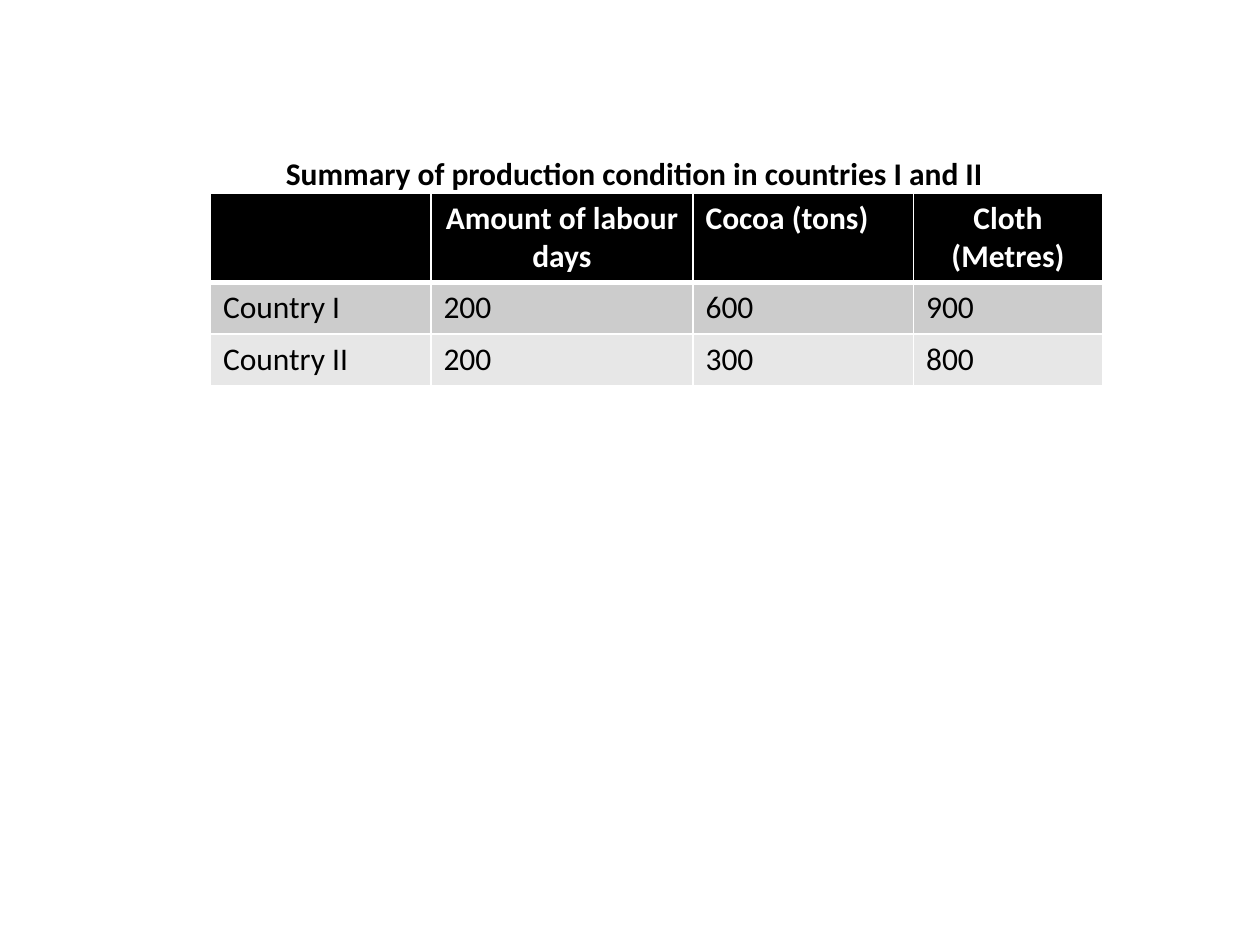
from lxml import etree
from pptx import Presentation
from pptx import util as u
from pptx.dml.color import RGBColor
from pptx.enum import text
from pptx.oxml.ns import qn

COLORS = {"black": "000000", "white": "FFFFFF", "dark_band": "CCCCCC", "light_band": "E7E7E7"}
FONT, FONT_SIZE = "Calibri", 18
TITLE = "Summary of production condition in countries I and II"
ROWS = [
    ["", "Amount of labour days", "Cocoa (tons)", "Cloth (Metres)"],
    ["Country I", "200", "600", "900"],
    ["Country II", "200", "300", "800"],
]
COLUMN_WIDTHS = [1.75, 2.08, 1.75, 1.5]
ROW_HEIGHTS = [0.7, 0.41, 0.41]
ROW_FILLS = ["black", "dark_band", "light_band"]
CENTRED_HEADERS = {"Amount of labour days", "Cloth (Metres)"}


def style_font(font, color, bold):
    """Apply the slide's typeface with the given colour and weight."""
    font.name, font.size, font.bold = FONT, u.Pt(FONT_SIZE), bold
    font.color.rgb = RGBColor.from_string(COLORS[color])


def add_border(cell, side, points):
    """Draw a white line along one side of a cell."""
    line = etree.SubElement(cell._tc.get_or_add_tcPr(), qn(f"a:ln{side}"), w=str(u.Pt(points)))
    fill = etree.SubElement(line, qn("a:solidFill"))
    etree.SubElement(fill, qn("a:srgbClr"), val=COLORS["white"])


def style_cell(cell, label, row):
    """Write a cell and style it as a header or a body cell."""
    header = row == 0
    cell.text_frame.text = label
    paragraph = cell.text_frame.paragraphs[0]
    if label in CENTRED_HEADERS:
        paragraph.alignment = text.PP_ALIGN.CENTER
    style_font(paragraph.font, "white" if header else "black", header)
    for run in paragraph.runs:
        style_font(run.font, "white" if header else "black", header)
    widths = {"L": 1, "R": 1, "T": 3 if row == 1 else 1, "B": 3 if header else 1}
    for side, points in widths.items():
        add_border(cell, side, points)
    cell.fill.solid()
    cell.fill.fore_color.rgb = RGBColor.from_string(COLORS[ROW_FILLS[row]])


def add_production_table(slide, left, top):
    """Add the table of labour and output by country."""
    table = slide.shapes.add_table(
        len(ROWS), len(COLUMN_WIDTHS), u.Inches(left), u.Inches(top),
        u.Inches(sum(COLUMN_WIDTHS)), u.Inches(sum(ROW_HEIGHTS))).table
    for column, width in zip(table.columns, COLUMN_WIDTHS):
        column.width = u.Inches(width)
    for row, height in zip(table.rows, ROW_HEIGHTS):
        row.height = u.Inches(height)
    for row, labels in enumerate(ROWS):
        for column, label in enumerate(labels):
            style_cell(table.cell(row, column), label, row)


def add_title(slide, left, top, width, height):
    """Add the bold line above the table."""
    box = slide.shapes.add_textbox(*map(u.Inches, (left, top, width, height)))
    text_frame = box.text_frame
    text_frame.word_wrap = False
    text_frame.auto_size = text.MSO_AUTO_SIZE.SHAPE_TO_FIT_TEXT
    text_frame.text = TITLE
    style_font(text_frame.paragraphs[0].runs[0].font, "black", True)


def main():
    """Build and save the slide."""
    presentation = Presentation()
    presentation.slide_width, presentation.slide_height = u.Inches(10), u.Inches(7.5)
    slide = presentation.slides.add_slide(presentation.slide_layouts[6])
    add_production_table(slide, 1.67, 1.53)
    add_title(slide, 2.17, 1.17, 5.78, 0.4)
    presentation.save("out.pptx")


if __name__ == "__main__":
    main()
